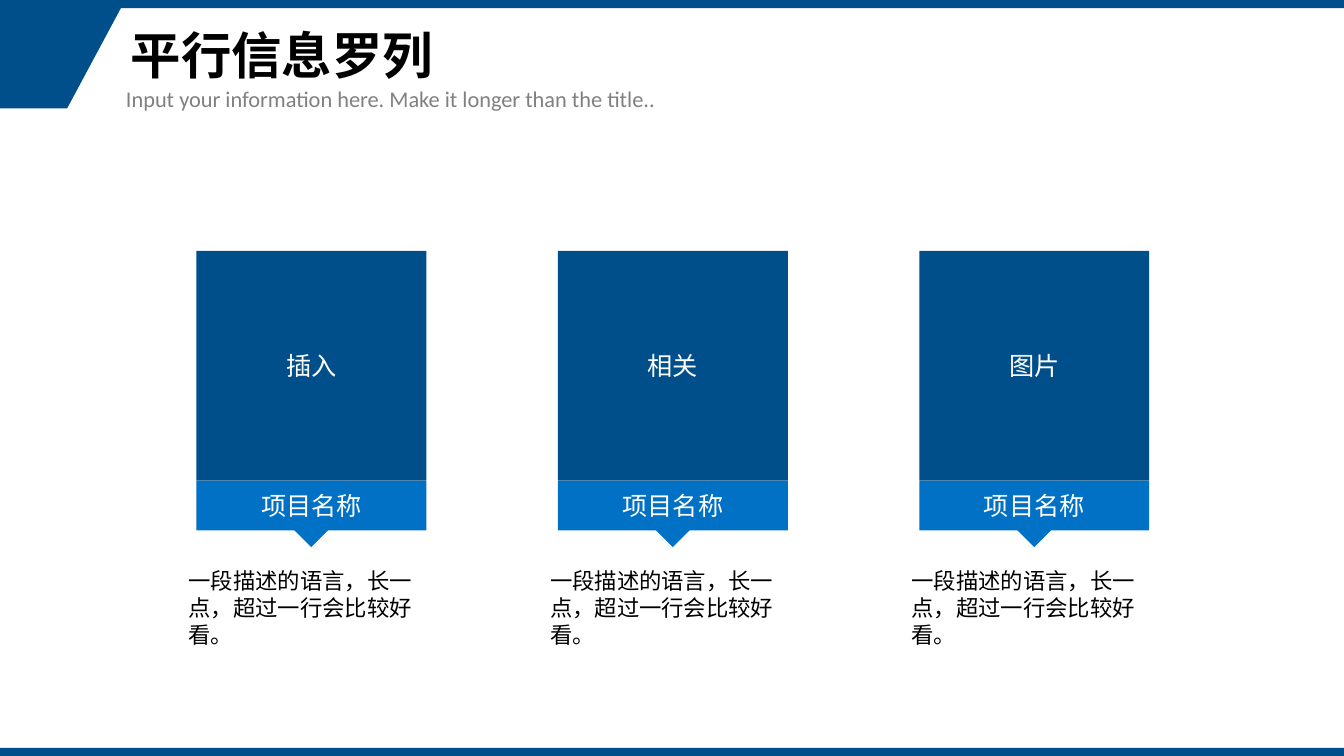
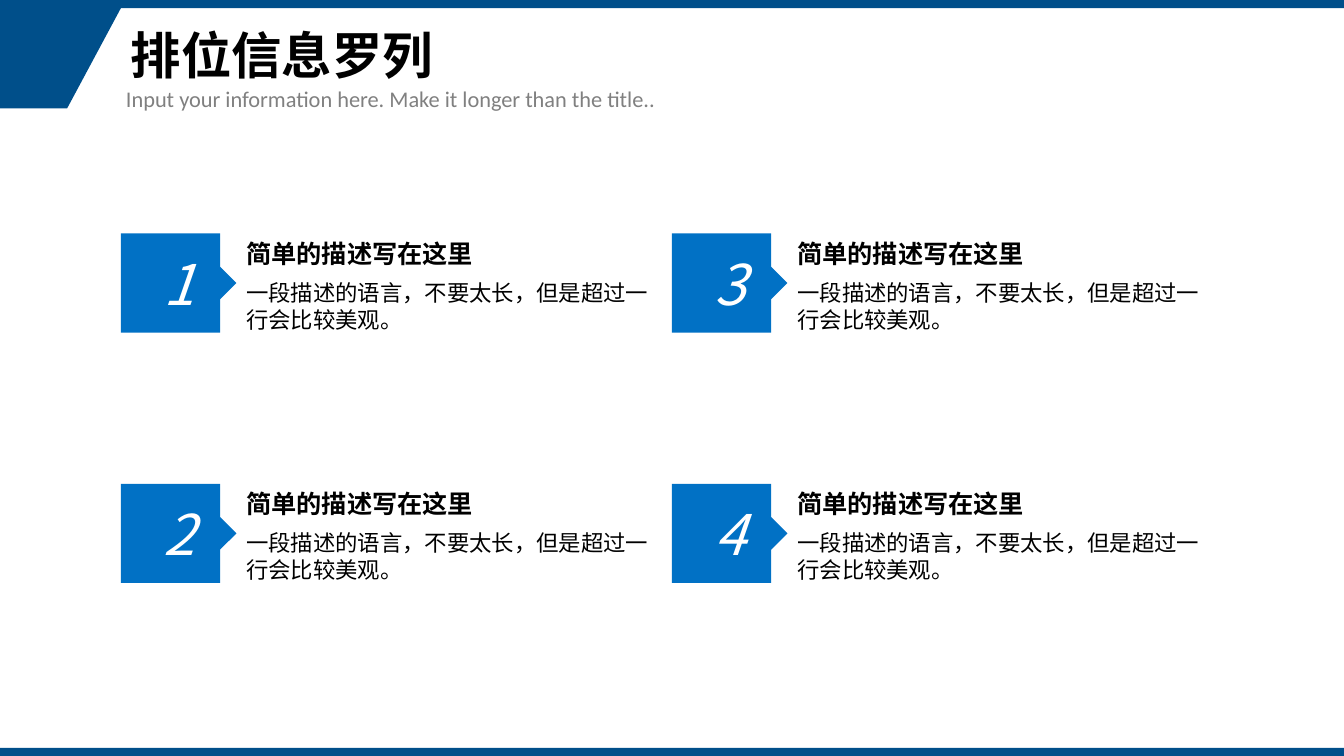
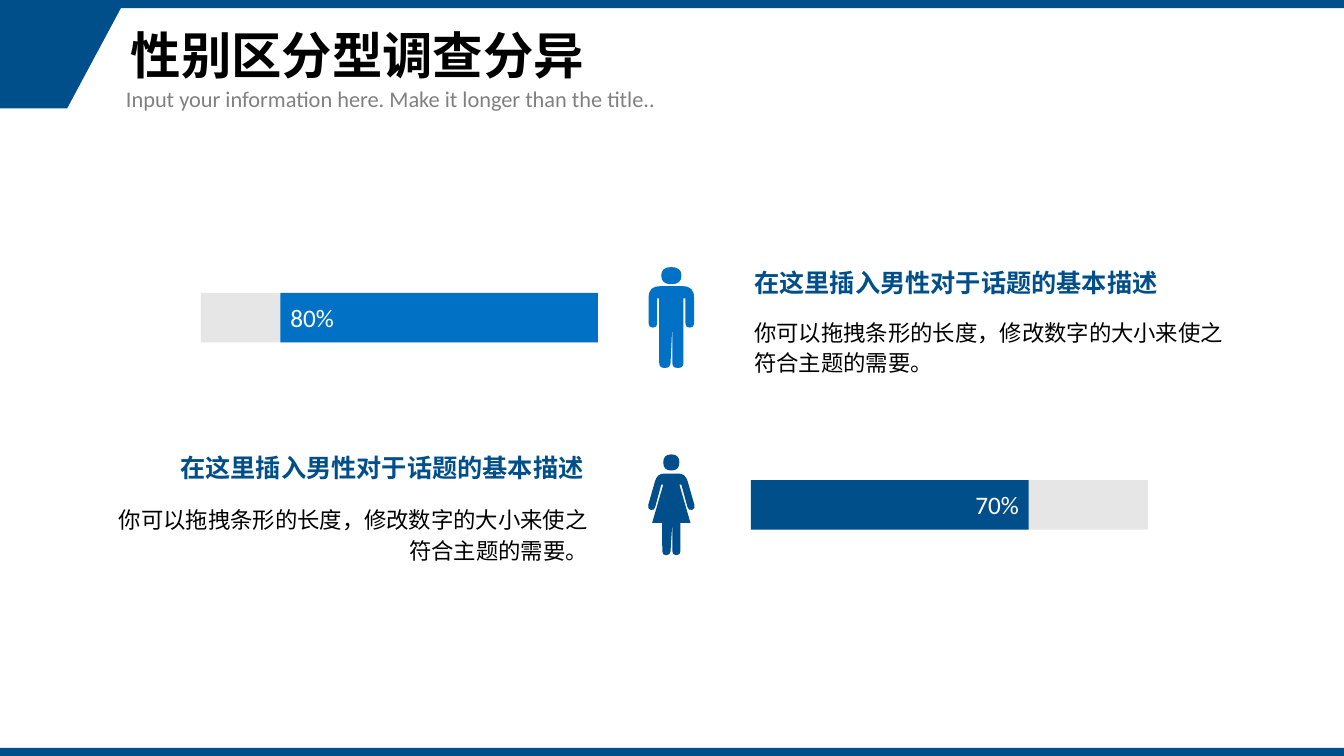
from itertools import product
from math import dist

from lxml.etree import SubElement
from pptx import Presentation
from pptx.dml.color import RGBColor
from pptx.enum.shapes import MSO_SHAPE
from pptx.enum.text import MSO_ANCHOR, MSO_AUTO_SIZE, PP_ALIGN
from pptx.oxml.ns import qn
from pptx.util import Inches, Pt

# Grid of 160 columns by 90 rows; one cell is a twelfth of an inch
COLUMNS, ROWS, BAND = 160, 90, 0.96
NAVY, BLUE, GREY, TRACK, BLACK, WHITE = (
    "004F8A", "0171C5", "808080", "E7E6E6", "000000", "FFFFFF")
CJK, LATIN = "Noto Sans CJK SC", "Calibri"
LEFT, CENTER, RIGHT = PP_ALIGN.LEFT, PP_ALIGN.CENTER, PP_ALIGN.RIGHT

# Text styles
TITLE = {"size": Pt(36), "name": CJK, "bold": True}
SUBTITLE = {"size": Pt(16), "name": LATIN}
LABEL = {"size": Pt(18), "name": CJK}
HEADING = {"size": Pt(18), "name": CJK, "bold": True}
BODY = {"size": Pt(16), "name": CJK}
NUMBER = {"size": Pt(40), "name": CJK, "italic": True}
PERCENT = {"size": Pt(18), "name": LATIN}

# Right half of each outline: x from the axis, y from the top, corner radius,
# all as shares of the figure's height
MAN = {
    "head": (0.1, 0.17),
    "half": [(0, 0.19, 0), (0.225, 0.19, 0.11), (0.225, 0.6, 0.04),
             (0.14, 0.6, 0.04), (0.14, 0.31, 0), (0.12, 0.31, 0),
             (0.12, 1, 0.05), (0.01, 1, 0.05), (0.01, 0.58, 0)],
}
WOMAN = {
    "head": (0.08, 0.16),
    "half": [(0, 0.19, 0), (0.14, 0.19, 0.08), (0.24, 0.54, 0.04),
             (0.17, 0.56, 0.04), (0.1, 0.3, 0), (0.08, 0.3, 0),
             (0.19, 0.68, 0), (0.09, 0.68, 0), (0.09, 1, 0.04),
             (0.01, 1, 0.04), (0.01, 0.68, 0)],
}


def cells(*values):
    return [Inches(value / 12) for value in values]


def rgb(color):
    return RGBColor.from_string(color)


def paint(shape, color):
    shape.shadow.inherit = False
    shape.fill.solid()
    shape.fill.fore_color.rgb = rgb(color)
    shape.line.fill.background()
    return shape


def write(shape, text, style, color, align=LEFT, anchor=MSO_ANCHOR.TOP,
          spacing=None, wrap=True, fit=MSO_AUTO_SIZE.NONE):
    frame = shape.text_frame
    frame_format = {"word_wrap": wrap, "auto_size": fit, "vertical_anchor": anchor}
    for key, value in frame_format.items():
        setattr(frame, key, value)
    paragraph = frame.paragraphs[0]
    paragraph.alignment = align
    paragraph.line_spacing = spacing
    run = paragraph.add_run()
    run.text = text
    for key, value in style.items():
        setattr(run.font, key, value)
    run.font.color.rgb = rgb(color)
    # East Asian typeface
    SubElement(run.font._element, qn("a:ea"), typeface=CJK)


def block(shapes, box, color, kind=MSO_SHAPE.RECTANGLE):
    return paint(shapes.add_shape(kind, *cells(*box)), color)


def text_box(shapes, box, text, style, color=BLACK, **layout):
    write(shapes.add_textbox(*cells(*box)), text, style, color,
          fit=MSO_AUTO_SIZE.SHAPE_TO_FIT_TEXT, **layout)


def outline(shapes, contours, color):
    """Fill one or more closed contours given in cells."""
    builder = None
    for contour in contours:
        start, *rest = [cells(*point) for point in contour]
        if builder is None:
            builder = shapes.build_freeform(*start, scale=1.0)
        else:
            builder.move_to(*start)
        builder.add_line_segments(rest, close=True)
    return paint(builder.convert_to_shape(), color)


def rounded(corners):
    """Return the points of an outline and the places of its curve controls."""
    points, controls = [], []
    for i, (x, y, radius) in enumerate(corners):
        if not radius:
            points.append((x, y))
            continue
        ends = []
        for near in (corners[i - 1], corners[(i + 1) % len(corners)]):
            share = min(radius / dist((x, y), near[:2]), 0.5)
            ends.append((x + (near[0] - x) * share, y + (near[1] - y) * share))
        controls.append(len(points) + 1)
        points += [ends[0], (x, y), ends[1]]
    return points, controls


def person(shapes, axis, top, height, figure, color):
    half = figure["half"]
    body = half + [(-x, y, radius) for x, y, radius in reversed(half[1:-1])]
    rx, bottom = figure["head"]
    head = [(-rx, 0, 1), (rx, 0, 1), (rx, bottom, 1), (-rx, bottom, 1)]
    contours, curves, offset = [], [], 0
    for corners in (body, head):
        points, controls = rounded(corners)
        contours.append([(axis + x * height, top + y * height) for x, y in points])
        curves += [offset + place for place in controls]
        offset += len(points) + 1
    shape = outline(shapes, contours, color)
    # Join each control point and the point after it into one curve
    steps = list(next(shape.element.iter(qn("a:path"))))
    for place in curves:
        steps[place].tag = qn("a:quadBezTo")
        steps[place].append(steps[place + 1][0])
        steps[place + 1].getparent().remove(steps[place + 1])


def set_up_layout(prs):
    """Keep only the title on the layout and give it its place."""
    layout = prs.slide_layouts[5]
    heading, *others = layout.placeholders
    for other in others:
        layout.shapes.element.remove(other.element)
    place = dict(zip(("left", "top", "width", "height"), cells(14.35, 0.9, 134.6, 12)))
    for key, value in place.items():
        setattr(heading, key, value)
    return layout


def move_bands_to_layout(slide, layout):
    bands = [
        block(slide.shapes, (0, ROWS - BAND, COLUMNS, BAND), NAVY),
        outline(slide.shapes, [[(0, BAND), (14.4, BAND), (8, 12.9), (0, 12.9)]], NAVY),
        block(slide.shapes, (0, 0, COLUMNS, BAND), NAVY),
    ]
    for band in bands:
        layout.shapes.element.append(band.element)


def titled_slide(prs, layout, title):
    slide = prs.slides.add_slide(layout)
    write(slide.shapes.title, title, TITLE, BLACK,
          anchor=MSO_ANCHOR.MIDDLE, spacing=0.9)
    text_box(slide.shapes, (13.82, 9.6, 93.6, 4.4),
             "Input your information here. Make it longer than the title..",
             SUBTITLE, GREY)
    return slide


def project_card(shapes, x, y, width, caption):
    label_height, pointer = 5.9, 2.88
    middle = {"align": CENTER, "anchor": MSO_ANCHOR.MIDDLE}
    # Name strip with its pointer
    label = block(shapes, (x, y + width, width, label_height), BLUE)
    write(label, "项目名称", LABEL, WHITE, **middle)
    tip = block(shapes, (x + (width - pointer) / 2, y + 31.8, pointer, pointer),
                BLUE, MSO_SHAPE.RIGHT_TRIANGLE)
    tip.rotation = 315
    # Description
    text_box(shapes, (x - 2.1, y + 37.05, width + 4.2, 10.9),
             "一段描述的语言，长一点，超过一行会比较好看。", BODY)
    # Picture area
    area = block(shapes, (x, y, width, width), NAVY)
    write(area, caption, LABEL, WHITE, **middle)


def ranked_item(shapes, x, y, number):
    side, notch = 11.8, 1.95
    edge, middle = x + side, y + side / 2
    # Numbered tile
    tile = outline(shapes, [[
        (x, y), (edge, y), (edge, middle - notch), (edge + notch, middle),
        (edge, middle + notch), (edge, y + side), (x, y + side)]], BLUE)
    write(tile, str(number), NUMBER, WHITE, CENTER, MSO_ANCHOR.MIDDLE)
    # Heading and description
    text_x = edge + notch
    text_box(shapes, (text_x, y, 29.64, 4.8), "简单的描述写在这里", HEADING, wrap=False)
    text_box(shapes, (text_x, y + 4.85, 51.84, 7.7),
             "一段描述的语言，不要太长，但是超过一行会比较美观。", BODY)


def survey_row(shapes, top, figure, color, share, bar_x, text_x, align, heading_y):
    bar_width, bar_height, heading_width, text_width = 47.26, 5.9, 50.9, 59.64
    person(shapes, 79.92, top + 0.6, 12, figure, color)
    # Bar: the filled part starts at the side of the person
    bar_y, filled = top + 3.65, bar_width * share
    filled_x = bar_x + bar_width - filled if align == LEFT else bar_x
    block(shapes, (bar_x, bar_y, bar_width, bar_height), TRACK)
    bar = block(shapes, (filled_x, bar_y, filled, bar_height), color)
    write(bar, f"{share:.0%}", PERCENT, WHITE, align, MSO_ANCHOR.MIDDLE)
    # Heading and description
    heading_x = text_x + (text_width - heading_width if align == RIGHT else 0)
    text_box(shapes, (heading_x, top + heading_y, heading_width, 4.8),
             "在这里插入男性对于话题的基本描述", HEADING | {"name": LATIN}, NAVY,
             wrap=False)
    text_box(shapes, (text_x, top + 5.72, text_width, 8.5),
             "你可以拖拽条形的长度，修改数字的大小来使之符合主题的需要。",
             BODY | {"name": LATIN}, align=align, spacing=1.14)


def main():
    prs = Presentation()
    prs.slide_width, prs.slide_height = cells(COLUMNS, ROWS)
    layout = set_up_layout(prs)

    # Parallel items
    parallel = titled_slide(prs, layout, "平行信息罗列")
    move_bands_to_layout(parallel, layout)
    for column, caption in enumerate(("插入", "相关", "图片")):
        project_card(parallel.shapes, 23.38 + 43.03 * column, 29.86, 27.38, caption)

    # Ranked items, numbered down the columns
    ranked = titled_slide(prs, layout, "排位信息罗列")
    for number, (column, row) in enumerate(product(range(2), repeat=2), 1):
        item = ranked.shapes.add_group_shape()
        ranked_item(item.shapes, 14.4 + 65.6 * column, 27.8 + 29.8 * row, number)

    # Survey by gender
    survey = titled_slide(prs, layout, "性别区分型调查分异")
    survey_row(survey.shapes, 31.2, MAN, BLUE, 0.8, 23.92, 88.62, LEFT, 0)
    survey_row(survey.shapes, 53.5, WOMAN, NAVY, 0.7, 89.4, 11.55, RIGHT, -0.3)

    prs.save("out.pptx")


if __name__ == "__main__":
    main()
